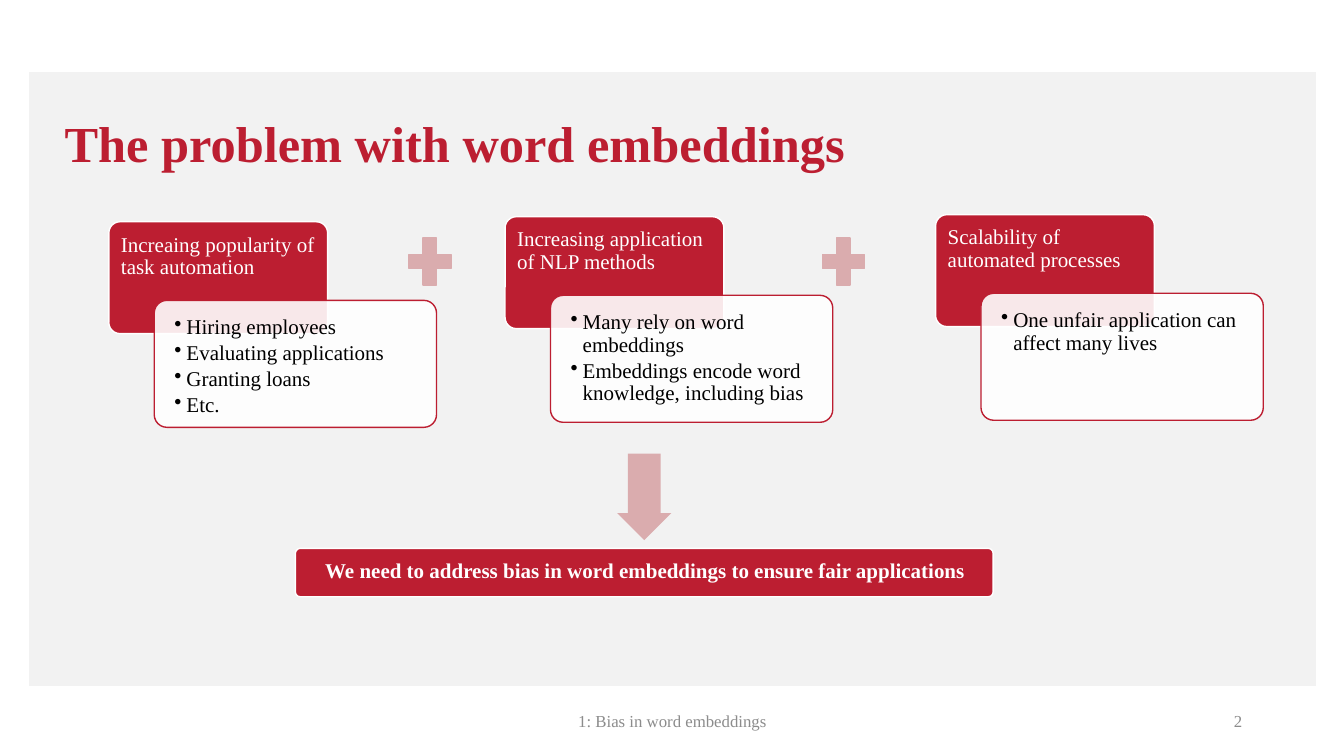
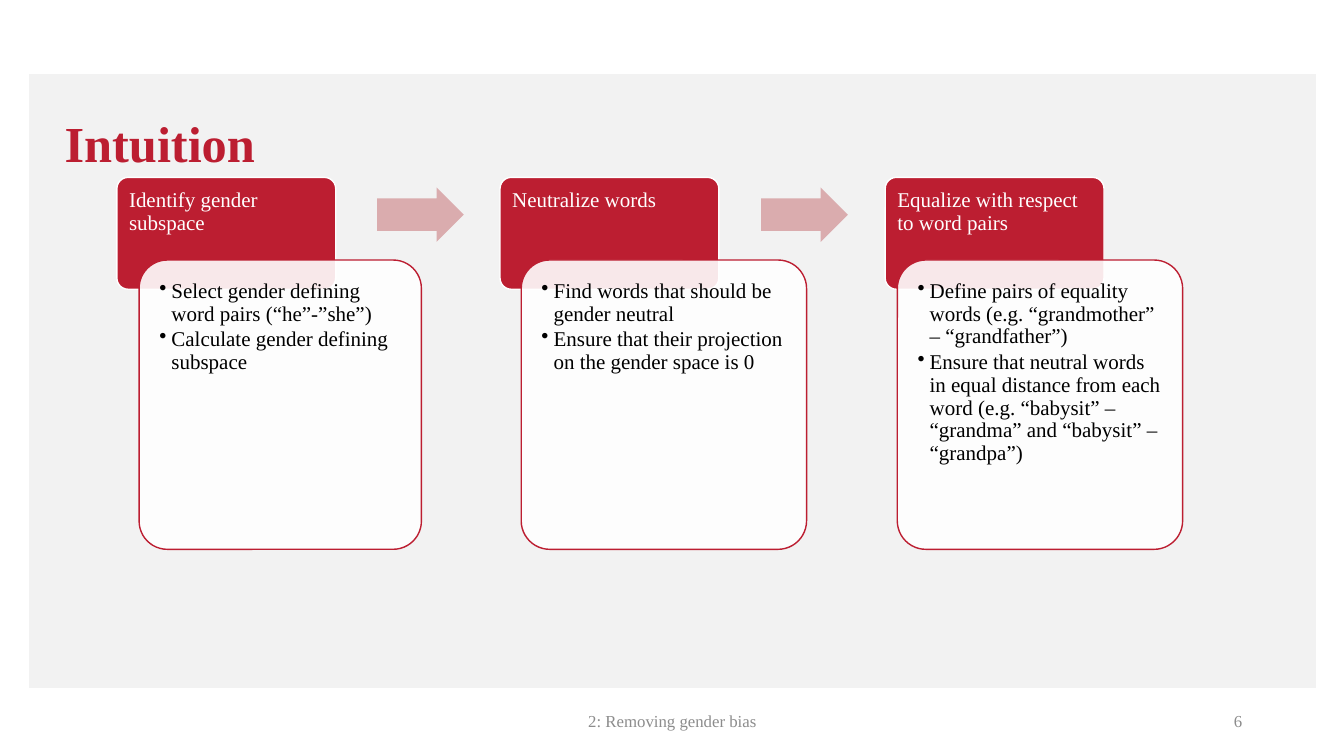
from dataclasses import dataclass

from lxml.etree import SubElement
from pptx import Presentation
from pptx.dml.color import RGBColor
from pptx.enum.shapes import MSO_SHAPE
from pptx.enum.text import MSO_ANCHOR, MSO_AUTO_SIZE, PP_ALIGN
from pptx.oxml.ns import qn
from pptx.presentation import Presentation as Deck
from pptx.shapes.autoshape import Shape
from pptx.slide import Slide
from pptx.text.text import TextFrame
from pptx.util import Inches, Pt

CRIMSON = RGBColor(0xBC, 0x1E, 0x31)
ROSE = RGBColor(0xDA, 0xAC, 0xAE)
PANEL_GREY = RGBColor(0xF2, 0xF2, 0xF2)
FOOTER_GREY = RGBColor(0x8C, 0x8C, 0x8C)
WHITE = RGBColor(0xFF, 0xFF, 0xFF)
BLACK = RGBColor(0x00, 0x00, 0x00)

FONT = "Times New Roman"
BODY_SIZE = 15
CORNER = 0.1
CORNER_TEXT_INSET = 0.29  # share of the corner radius that pushes text inwards
HEADER_WIDTH, HEADER_HEIGHT = 2.17, 1.11


@dataclass(frozen=True)
class Box:
    left: float
    top: float
    width: float
    height: float

    def lengths(self) -> tuple[Inches, Inches, Inches, Inches]:
        return (Inches(self.left), Inches(self.top),
                Inches(self.width), Inches(self.height))


@dataclass(frozen=True)
class Step:
    """A red header with a white card of bullets overlapping it."""
    heading: str
    bullets: list[str]
    left: float
    top: float
    card: Box


def write(frame: TextFrame, lines: list[str], size: float, color: RGBColor,
          bold: bool = False, align: PP_ALIGN = PP_ALIGN.LEFT) -> None:
    frame.text = "\n".join(lines)
    frame.word_wrap = True
    for paragraph in frame.paragraphs:
        paragraph.alignment = align
        for run in paragraph.runs:
            run.font.name = FONT
            run.font.size = Pt(size)
            run.font.bold = bold
            run.font.color.rgb = color


def add_filled(slide: Slide, kind: MSO_SHAPE, box: Box, fill: RGBColor,
               outline: RGBColor | None = None) -> Shape:
    shape = slide.shapes.add_shape(kind, *box.lengths())
    shape.shadow.inherit = False
    shape.fill.solid()
    shape.fill.fore_color.rgb = fill
    if outline is None:
        shape.line.fill.background()
    else:
        shape.line.color.rgb = outline
        shape.line.width = Pt(1)
    return shape


def add_rounded(slide: Slide, box: Box, fill: RGBColor, outline: RGBColor,
                pad_x: float, pad_y: float) -> Shape:
    """Add a rounded box whose text starts at the given distance from its edges."""
    shape = add_filled(slide, MSO_SHAPE.ROUNDED_RECTANGLE, box, fill, outline)
    shape.adjustments[0] = CORNER
    inset = CORNER_TEXT_INSET * CORNER * min(box.width, box.height)
    frame = shape.text_frame
    frame.vertical_anchor = MSO_ANCHOR.TOP
    frame.margin_left = Inches(pad_x - inset)
    frame.margin_right = Inches(pad_x - inset - 0.02)
    frame.margin_top = Inches(pad_y - inset)
    frame.margin_bottom = 0
    return shape


def add_label(slide: Slide, box: Box, text: str, bold: bool = False,
              align: PP_ALIGN = PP_ALIGN.LEFT) -> None:
    label = add_rounded(slide, box, CRIMSON, WHITE, 0.12, 0.12)
    write(label.text_frame, [text], BODY_SIZE, WHITE, bold, align)
    label.text_frame.paragraphs[0].line_spacing = 0.9


def add_card(slide: Slide, box: Box, bullets: list[str], pad_y: float) -> None:
    card = add_rounded(slide, box, WHITE, CRIMSON, 0.2, pad_y)
    color = card.fill._xPr.find(qn("a:solidFill"))[0]
    SubElement(color, qn("a:alpha")).set("val", "90000")
    write(card.text_frame, bullets, BODY_SIZE, BLACK)
    for paragraph in card.text_frame.paragraphs:
        paragraph.line_spacing = 0.9
        paragraph.space_after = Pt(2.25)
        properties = paragraph._p.get_or_add_pPr()
        properties.set("marL", str(Inches(0.12)))
        properties.set("indent", str(-Inches(0.12)))
        SubElement(properties, qn("a:buChar")).set("char", "•")


def add_steps(slide: Slide, steps: list[Step], card_pad_y: float) -> None:
    for step in steps:
        header = Box(step.left, step.top, HEADER_WIDTH, HEADER_HEIGHT)
        add_label(slide, header, step.heading)
        add_card(slide, step.card, step.bullets, card_pad_y)


def add_arrow(slide: Slide, left: float, top: float, rotation: float = 0) -> None:
    arrow = add_filled(slide, MSO_SHAPE.RIGHT_ARROW, Box(left, top, 0.86, 0.54), ROSE)
    arrow.adjustments[0] = 0.6
    arrow.adjustments[1] = 0.5
    arrow.rotation = rotation


def add_footer(slide: Slide, box: Box, text: str, align: PP_ALIGN) -> None:
    footer = slide.shapes.add_textbox(*box.lengths())
    write(footer.text_frame, [text], 12, FOOTER_GREY, align=align)
    footer.text_frame.vertical_anchor = MSO_ANCHOR.MIDDLE


def add_base_slide(deck: Deck, heading: str, section: str, number: int,
                   panel_top: float) -> Slide:
    """Add a slide with the grey panel, title, section footer and number."""
    slide = deck.slides.add_slide(deck.slide_layouts[5])
    title = slide.shapes.title
    title.left, title.top, title.width, title.height = Box(0.54, 0.74, 12.2, 1.02).lengths()
    write(title.text_frame, [heading], 36, CRIMSON, bold=True)
    title.text_frame.vertical_anchor = MSO_ANCHOR.BOTTOM
    title.text_frame.auto_size = MSO_AUTO_SIZE.NONE
    panel = add_filled(slide, MSO_SHAPE.RECTANGLE, Box(0.29, panel_top, 12.76, 6.08),
                       PANEL_GREY, PANEL_GREY)
    title.element.addprevious(panel.element)
    add_footer(slide, Box(4.42, 6.95, 4.5, 0.4), section, PP_ALIGN.CENTER)
    add_footer(slide, Box(9.42, 6.95, 3, 0.4), str(number), PP_ALIGN.RIGHT)
    return slide


def build_problem(deck: Deck) -> None:
    slide = add_base_slide(deck, "The problem with word embeddings",
                           "1: Bias in word embeddings", 2, 0.72)
    causes = [
        (1.08, 2.2, "Increaing popularity of task automation",
         ["Hiring employees", "Evaluating applications", "Granting loans", "Etc."]),
        (5.01, 2.15, "Increasing application of NLP methods",
         ["Many rely on word embeddings",
          "Embeddings encode word knowledge, including bias"]),
        (9.28, 2.13, "Scalability of automated processes",
         ["One unfair application can affect many lives"]),
    ]
    add_steps(slide, [
        Step(heading, bullets, left, top, Box(left + 0.45, top + 0.78, 2.8, 1.26))
        for left, top, heading, bullets in causes
    ], card_pad_y=0.16)
    for plus_left in (3.98, 8.08):
        add_filled(slide, MSO_SHAPE.MATH_PLUS, Box(plus_left, 2.28, 0.57, 0.63), ROSE, ROSE)
    add_arrow(slide, 5.96, 4.66, rotation=90)
    add_label(slide, Box(2.93, 5.44, 6.92, 0.48),
              "We need to address bias in word embeddings to ensure fair applications",
              bold=True, align=PP_ALIGN.CENTER)


def build_intuition(deck: Deck) -> None:
    slide = add_base_slide(deck, "Intuition", "2: Removing gender bias", 6, 0.74)
    stages = [
        (1.16, 1.38, 2.8, "Identify gender subspace",
         ["Select gender defining word pairs (“he”-”she”)",
          "Calculate gender defining subspace"]),
        (4.96, 5.17, 2.83, "Neutralize words",
         ["Find words that should be gender neutral",
          "Ensure that their projection on the gender space is 0"]),
        (8.78, 8.9, 2.83, "Equalize with respect to word pairs",
         ["Define pairs of equality words (e.g. “grandmother” – “grandfather”)",
          "Ensure that neutral words in equal distance from each word "
          "(e.g. “babysit” – “grandma” and “babysit” – “grandpa”)"]),
    ]
    add_steps(slide, [
        Step(heading, bullets, left, 1.76, Box(card_left, 2.58, card_width, 2.87))
        for left, card_left, card_width, heading, bullets in stages
    ], card_pad_y=0.2)
    for arrow_left in (3.74, 7.55):
        add_arrow(slide, arrow_left, 1.86)


def main() -> None:
    deck = Presentation()
    deck.slide_width, deck.slide_height = Inches(13.33), Inches(7.5)
    build_problem(deck)
    build_intuition(deck)
    deck.save("out.pptx")


if __name__ == "__main__":
    main()
